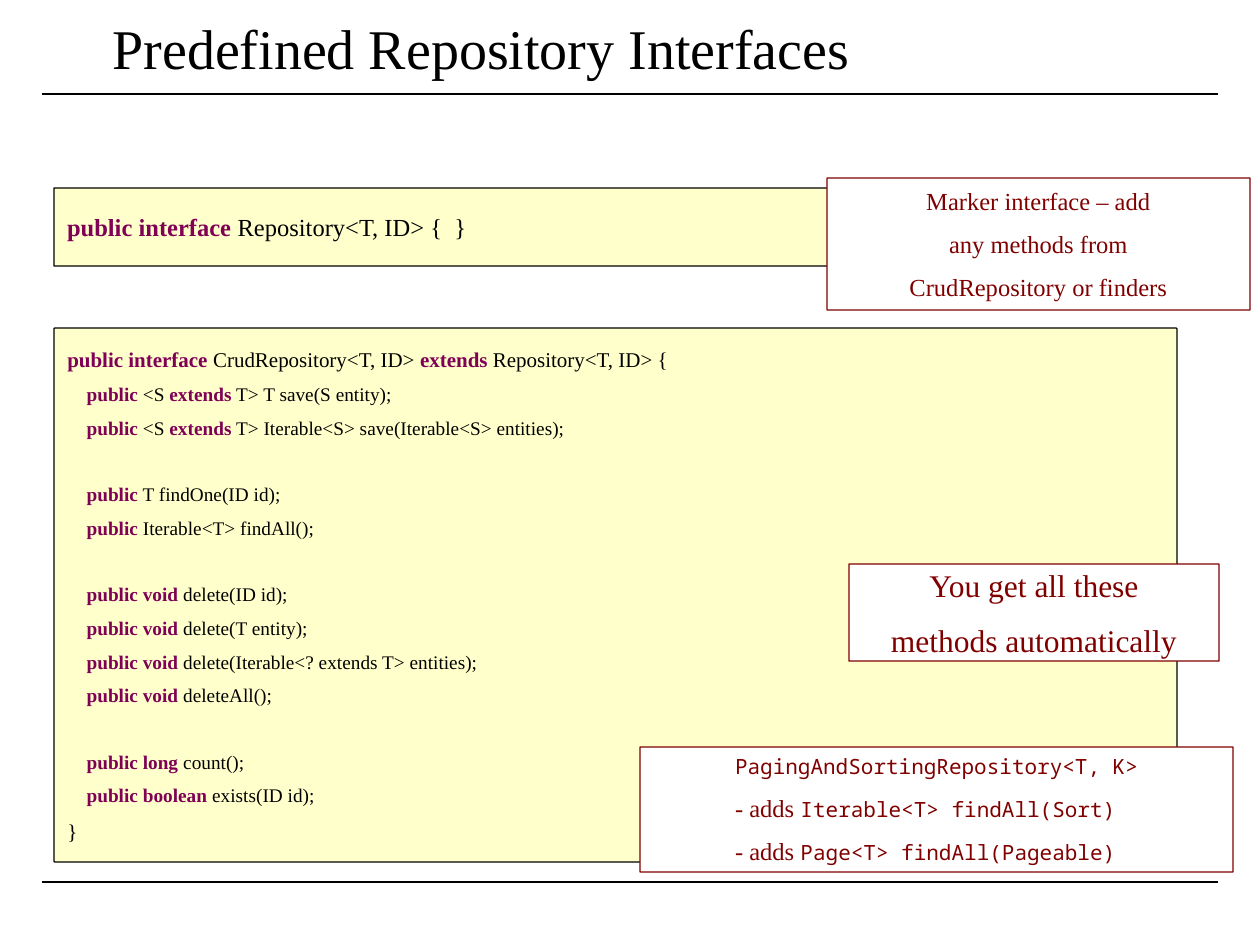
from pptx import Presentation
from pptx.dml.color import RGBColor
from pptx.enum.shapes import MSO_CONNECTOR as Conn, MSO_SHAPE as Shape
from pptx.enum.text import MSO_ANCHOR as Anchor, PP_ALIGN as Align
from pptx.oxml.ns import qn
from pptx.util import Pt

# Content: text between asterisks takes the accent format of its box
TITLE = "Predefined Repository Interfaces"
MARKER_CODE = ["*public interface* Repository<T, ID> {  }"]
CRUD_HEAD = "*public interface *CrudRepository<T, ID> *extends* Repository<T, ID> {"
CRUD_GROUPS = [
    ["    *public* <S *extends* T> T save(S entity);",
     "    *public* <S *extends* T> Iterable<S> save(Iterable<S> entities);"],
    ["    *public* T findOne(ID id);",
     "    *public *Iterable<T> findAll();"],
    ["    *public void* delete(ID id);",
     "    *public void* delete(T entity);",
     "    *public void* delete(Iterable<? extends T> entities);",
     "    *public void *deleteAll();"],
    ["    *public long* count();",
     "    *public boolean* exists(ID id);"],
]
MARKER_NOTE = ["Marker interface – add", "any methods from",
               "CrudRepository or finders"]
AUTO_NOTE = ["You get all these", "methods automatically"]
PAGING_NOTE = ["*PagingAndSortingRepository<T, K>*",
               "- adds *Iterable<T> findAll(Sort)*",
               "- adds *Page<T> findAll(Pageable)*"]

COLORS = {"ink": "000000", "word": "7F0055", "note": "800000",
          "code": "FFFFCC", "paper": "FFFFFF"}
SERIF, MONO = "Times New Roman", "Noto Sans Mono"
PX = 914400 / 126
WIDTH, HEIGHT = 1260, 945
GAP, LINE = 0.55, 1.15  # space before and line height, per point of type

WORD = {"bold": True, "color": "word"}
TYPED = {"font": MONO, "size": 12}


def emu(px):
    return round(px * PX)


def rgb(name):
    return RGBColor.from_string(COLORS[name])


def add_run(para, text, font, size, color, bold=False):
    run = para.add_run()
    run.text = text
    run.font.name, run.font.size, run.font.bold = font, Pt(size), bold
    run.font.color.rgb = rgb(color)


def write(shape, lines, size=14, color="ink", align=Align.LEFT,
          accent=None, inset=(13, 6, 13, 6)):
    """Fill a shape; a line is text, or (text, size, blank lines above)."""
    frame = shape.text_frame
    frame.word_wrap = True
    frame.vertical_anchor = Anchor.MIDDLE
    (frame.margin_left, frame.margin_top,
     frame.margin_right, frame.margin_bottom) = map(emu, inset)
    base = {"font": SERIF, "size": size, "color": color}
    for i, line in enumerate(lines):
        text, pts, blank = (line, size, 0) if isinstance(line, str) else line
        para = frame.add_paragraph() if i else frame.paragraphs[0]
        para.alignment = align
        if i:
            para.space_before = Pt(round(pts * (GAP + blank * (GAP + LINE)), 2))
        plain = {**base, "size": pts}
        for k, part in enumerate(text.split("*")):
            if part:
                add_run(para, part, **({**plain, **accent} if k % 2 else plain))


def add_box(place, lines, fill, edge, **style):
    box = slide.shapes.add_shape(Shape.ROUNDED_RECTANGLE, *map(emu, place))
    box.adjustments[0] = 0.002
    box.shadow.inherit = False
    box.fill.solid()
    box.fill.fore_color.rgb = rgb(fill)
    box.line.color.rgb = rgb(edge)
    box.line.width = Pt(0.75)
    write(box, lines, **style)


def add_rule(y):
    ends = map(emu, (42, y, WIDTH - 42, y))
    rule = slide.shapes.add_connector(Conn.STRAIGHT, *ends)
    rule.line.color.rgb = rgb("ink")
    rule.line.width = Pt(1)
    props = rule._element.spPr
    props.append(props.makeelement(qn("a:effectLst"), {}))


deck = Presentation()
deck.slide_width, deck.slide_height = emu(WIDTH), emu(HEIGHT)
slide = deck.slides.add_slide(deck.slide_layouts[6])

# Rules and title
for y in (94, 882):
    add_rule(y)
title = slide.shapes.add_textbox(*map(emu, (48, -24, 867, 147)))
write(title, [TITLE], size=32, align=Align.CENTER, inset=(13, 1, 13, 6))

# Code panels
crud = [(CRUD_HEAD, 12, 0)]
for g, group in enumerate(CRUD_GROUPS):
    crud += [(text, 11, int(g > 0 and n == 0)) for n, text in enumerate(group)]
crud.append(("}", 12, 0))
code = {"fill": "code", "edge": "ink", "accent": WORD,
        "inset": (13, 18, 13, 18)}
add_box((54, 188, 1126, 78), MARKER_CODE, **code)
add_box((54, 328, 1123, 534), crud, **code)

# Notes
note = {"fill": "paper", "edge": "note", "color": "note"}
add_box((827, 178, 423, 132), MARKER_NOTE, align=Align.CENTER, **note)
add_box((849, 564, 370, 97), AUTO_NOTE, size=18, align=Align.CENTER, **note)
add_box((640, 747, 593, 125), PAGING_NOTE, accent=TYPED,
        inset=(95, 6, 13, 6), **note)

deck.save("out.pptx")
